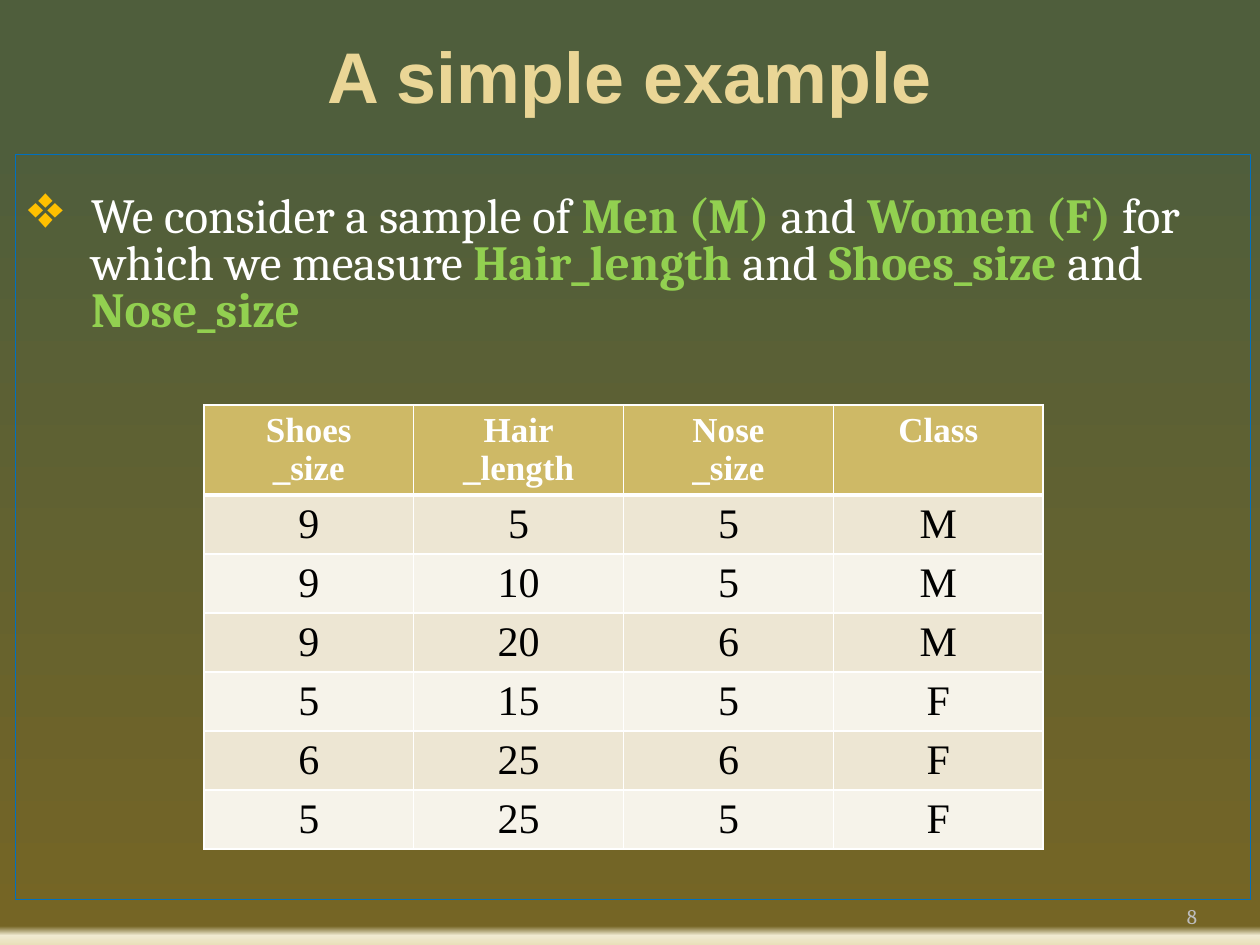
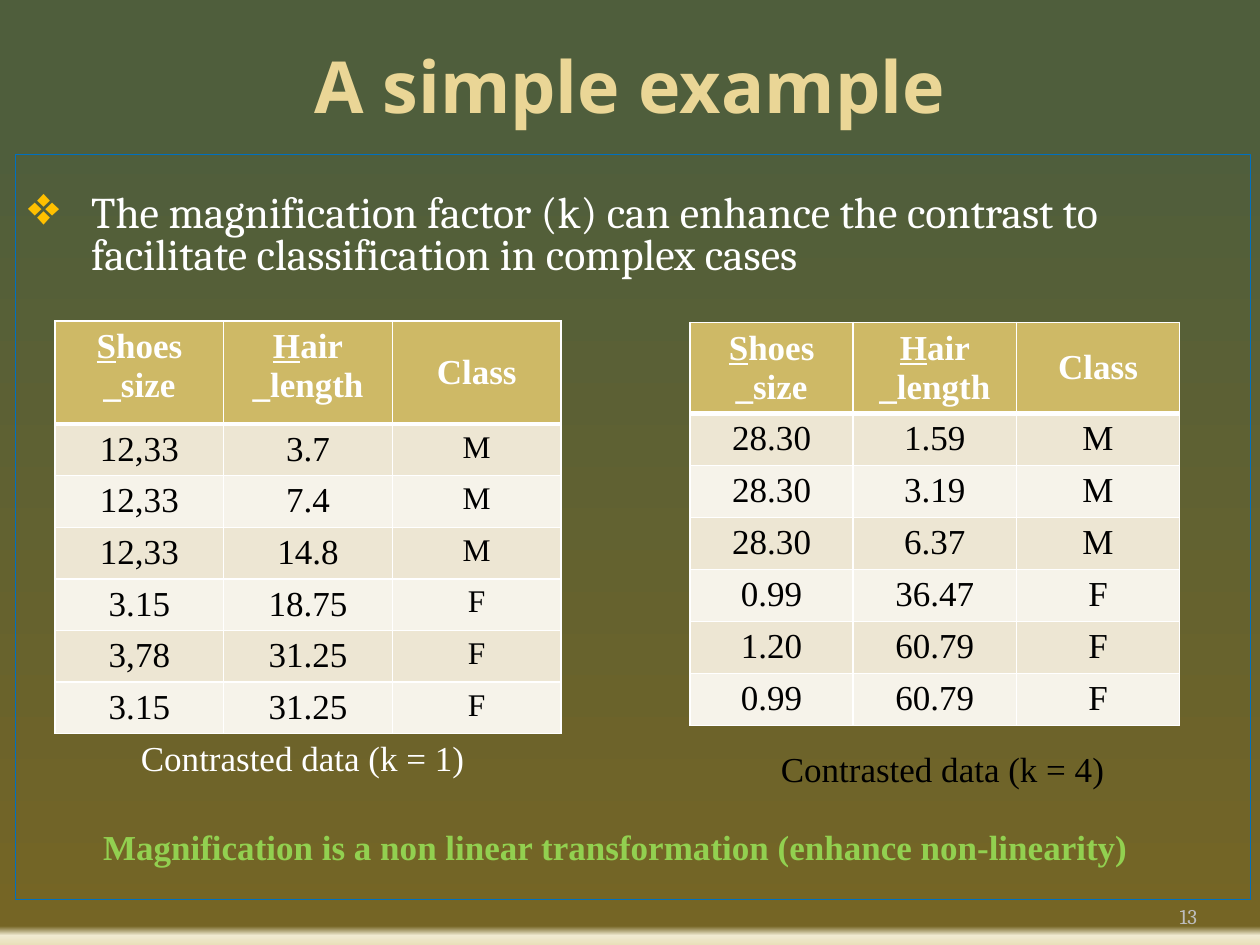
from lxml import etree
from pptx import Presentation
from pptx.dml.color import RGBColor
from pptx.enum.shapes import MSO_SHAPE
from pptx.enum.text import MSO_ANCHOR, PP_ALIGN
from pptx.oxml.ns import qn
from pptx.util import Cm, Pt

RECT = MSO_SHAPE.RECTANGLE
TOP, MID, LOW = MSO_ANCHOR.TOP, MSO_ANCHOR.MIDDLE, MSO_ANCHOR.BOTTOM
LEFT, MIDST, RIGHT = PP_ALIGN.LEFT, PP_ALIGN.CENTER, PP_ALIGN.RIGHT

# Shared colours and fonts
WHITE, BLACK, GREEN, GOLD = "FFFFFF", "000000", "92D050", "EAD696"
BLUE, AMBER, GREY = "0070C0", "FFC000", "BDBDBD"
HEAD, BANDS = "CEB966", ("EDE6D3", "F6F3EA")
SKY = ((14, "4F5E3C"), (98, "756525"), (99, "F0EAD1"), (100, "E9E0BA"))
SERIF, ROMAN = "Cambria", "Times New Roman"
KEY = {"hue": GREEN, "bold": True}

# Data
SAMPLE = (
    ("Shoes\n_size", "Hair\n_length", "Nose\n_size", "Class"),
    ("9", "5", "5", "M"),
    ("9", "10", "5", "M"),
    ("9", "20", "6", "M"),
    ("5", "15", "5", "F"),
    ("6", "25", "6", "F"),
    ("5", "25", "5", "F"),
)
TITLES = ("|S|hoes\n_size", "|H|air\n_length", "Class")
ONE = (
    TITLES,
    ("12,33", "3.7", "M"),
    ("12,33", "7.4", "M"),
    ("12,33", "14.8", "M"),
    ("3.15", "18.75", "F"),
    ("3,78", "31.25", "F"),
    ("3.15", "31.25", "F"),
)
FOUR = (
    TITLES,
    ("28.30", "1.59", "M"),
    ("28.30", "3.19", "M"),
    ("28.30", "6.37", "M"),
    ("0.99", "36.47", "F"),
    ("1.20", "60.79", "F"),
    ("0.99", "60.79", "F"),
)


def tint(code):
    return RGBColor.from_string(code)


def node(parent, tag, **attrs):
    return etree.SubElement(parent, qn(tag), attrs)


# Text: the parts between bars take the accent format
def style(run, size, font, hue, bold=False, under=False):
    face = run.font
    face.size, face.name = Pt(size), font
    face.bold, face.underline = bold, under
    face.color.rgb = tint(hue)


def write(para, text, accent=None, align=LEFT, **look):
    para.alignment = align
    for i, part in enumerate(text.split("|")):
        mix = {**look, **accent} if i % 2 else look
        for j, line in enumerate(part.split("\n")):
            if j:
                para.add_line_break()
            if line:
                run = para.add_run()
                run.text = line
                style(run, **mix)


def label(slide, box, text, anchor=TOP, wrap=True, side=0.25, **look):
    frame = slide.shapes.add_textbox(*map(Cm, box)).text_frame
    frame.word_wrap, frame.vertical_anchor = wrap, anchor
    frame.margin_left = frame.margin_right = Cm(side)
    write(frame.paragraphs[0], text, **look)


# Parts of every slide
def paint(slide):
    fill = slide.background.fill
    fill.gradient()
    fill.gradient_angle = 270
    stops = slide.background._cSld.find(".//" + qn("a:gsLst"))
    for old in list(stops):
        stops.remove(old)
    for spot, code in SKY:
        stop = node(stops, "a:gs", pos=str(spot * 1000))
        node(stop, "a:srgbClr", val=code)


def panel(slide, text, size):
    shape = slide.shapes.add_shape(RECT, Cm(0.32), Cm(3.12), Cm(24.89), Cm(15.01))
    shape.shadow.inherit = False
    shape.fill.background()
    shape.line.color.rgb, shape.line.width = tint(BLUE), Pt(0.75)
    frame = shape.text_frame
    frame.word_wrap, frame.vertical_anchor = True, TOP
    frame.margin_top = Cm(0.82)
    para = frame.paragraphs[0]
    para.line_spacing = 0.8
    props = para._p.get_or_add_pPr()
    props.set("marL", str(Cm(1.27)))
    props.set("indent", str(-Cm(1.27)))
    node(node(props, "a:buClr"), "a:srgbClr", val=AMBER)
    node(props, "a:buSzPct", val="125000")
    node(props, "a:buChar", char="❖")
    write(para, text, accent=KEY, size=size, font=SERIF, hue=WHITE)


def start(deck, number, font, top, text, size):
    slide = deck.slides.add_slide(deck.slide_layouts[6])
    paint(slide)
    label(slide, (1.27, top, 22.86, 3.17), "A simple example", anchor=MID,
          align=MIDST, size=41, font=font, hue=GOLD, bold=True)
    label(slide, (22.02, 17.83, 2.11, 1.02), number, anchor=LOW, side=0,
          align=RIGHT, size=12, font=SERIF, hue=GREY)
    panel(slide, text, size)
    return slide


# Tables
def edge(cell, row):
    props = cell._tc.get_or_add_tcPr()
    wide = {"T": row == 1, "B": row == 0}
    for i, side in enumerate("LRTB"):
        width = Pt(3 if wide.get(side) else 1)
        line = etree.Element(qn("a:ln" + side), w=str(width))
        node(node(line, "a:solidFill"), "a:srgbClr", val=WHITE)
        props.insert(i, line)


def seat(cell, middle):
    """Small margins let the rows keep their set heights."""
    cell.vertical_anchor = MID if middle else TOP
    cell.margin_top = Cm(0.05 if middle else 0.12)
    cell.margin_bottom = Cm(0.05 if middle else 0)


def grid(slide, spot, wide, tall, rows, size, last=None, mids=()):
    """tall holds the heights of the header and of a body row."""
    count = len(rows[0])
    high = tall[0] + tall[1] * (len(rows) - 1)
    box = (*spot, wide * count, high)
    table = slide.shapes.add_table(len(rows), count, *map(Cm, box)).table
    for col in table.columns:
        col.width = Cm(wide)
    for r, row in enumerate(rows):
        table.rows[r].height = Cm(tall[min(r, 1)])
        for c, text in enumerate(row):
            cell = table.cell(r, c)
            cell.fill.solid()
            cell.fill.fore_color.rgb = tint(BANDS[(r - 1) % 2] if r else HEAD)
            edge(cell, r)
            seat(cell, r == 0 and c in mids)
            body = last if last and c == count - 1 else size
            write(cell.text_frame.paragraphs[0], text, accent={"under": True},
                  align=MIDST, size=body if r else 20, font=ROMAN,
                  hue=BLACK if r else WHITE, bold=r == 0)


def main():
    deck = Presentation()
    deck.slide_width, deck.slide_height = Cm(25.4), Cm(19.05)

    # Sample data
    slide = start(deck, "8", "Arial", -0.08,
                  "We consider a sample of |Men (M) |and |Women (F)| for which "
                  "we measure |Hair_length| and |Shoes_size |and |Nose_size", 28)
    grid(slide, (4.11, 8.16), 4.23, (1.8, 1.19), SAMPLE, 24)

    # Contrasted data
    slide = start(deck, "13", "Noto Sans", 0.13,
                  "The magnification factor (k) can enhance the contrast to "
                  "facilitate classification in complex cases", 25)
    grid(slide, (1.11, 6.47), 3.4, (2.08, 1.04), ONE, 20, last=18, mids=(2,))
    grid(slide, (13.91, 6.5), 3.29, (1.83, 1.05), FOUR, 20, mids=(0, 1, 2))
    note = {"size": 20, "font": ROMAN}
    label(slide, (2.59, 14.73, 7.09, 1.12), "Contrasted data (k = 1)",
          wrap=False, hue=WHITE, **note)
    label(slide, (15.49, 14.94, 7.34, 1.12), "Contrasted data (k = 4)",
          wrap=False, hue=BLACK, **note)
    label(slide, (0.51, 16.51, 23.8, 1.12),
          "Magnification is a non linear transformation (enhance non-linearity)",
          align=MIDST, **KEY, **note)

    deck.save("out.pptx")


if __name__ == "__main__":
    main()
